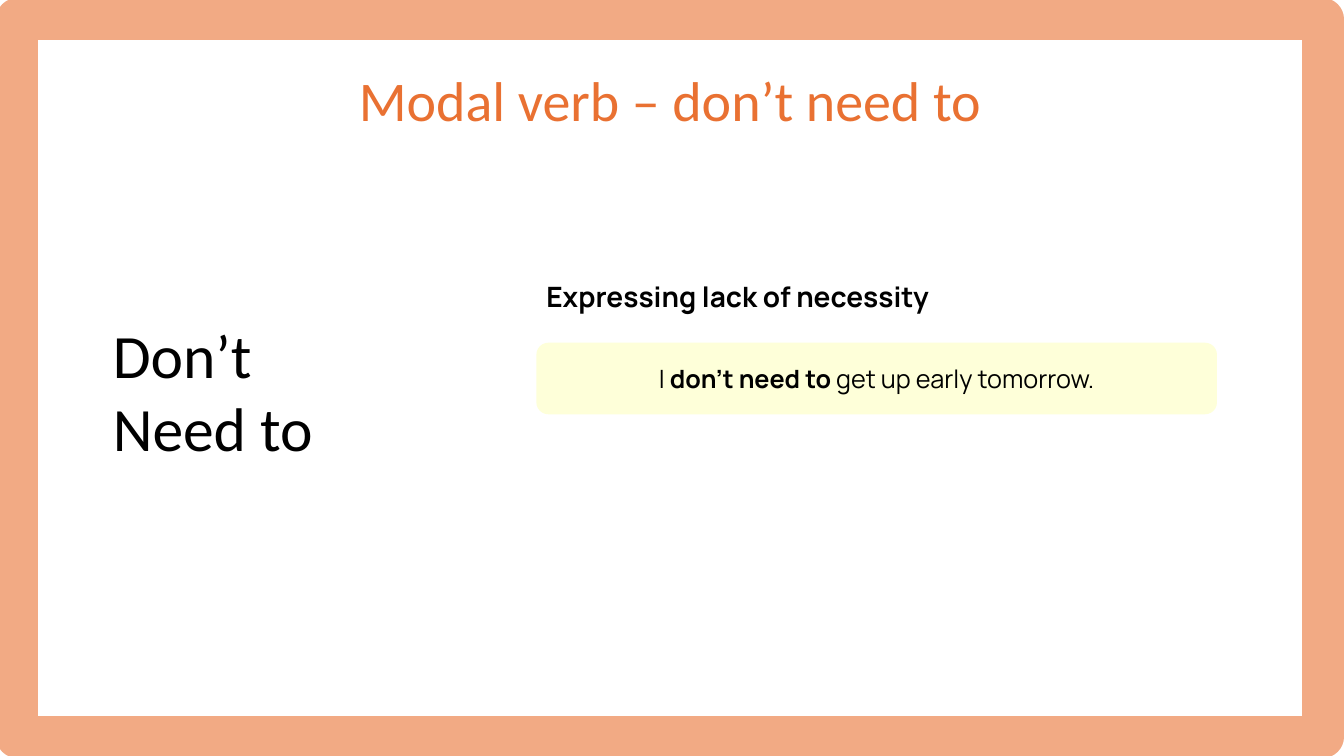
from pptx import Presentation
from pptx.dml.color import RGBColor
from pptx.enum.shapes import MSO_SHAPE
from pptx.enum.text import MSO_ANCHOR, PP_ALIGN
from pptx.util import Inches, Pt

RECTANGLE, ROUNDED = MSO_SHAPE.RECTANGLE, MSO_SHAPE.ROUNDED_RECTANGLE
LEFT, CENTER = PP_ALIGN.LEFT, PP_ALIGN.CENTER
MIDDLE = MSO_ANCHOR.MIDDLE
COLORS = {"frame": "F2AA84", "title": "E97132", "text": "000000", "example": "FEFFD9"}


def color(name):
    """Return the named colour."""
    return RGBColor.from_string(COLORS[name])


def style(para, font, size, ink="text", bold=False, align=LEFT):
    """Set the font and alignment of a paragraph."""
    para.alignment = align
    para.font.name = font
    para.font.size = Pt(size)
    para.font.bold = bold
    para.font.color.rgb = color(ink)


def add_frame(page, area, width):
    """Draw the thick unfilled border of the page."""
    frame = page.shapes.add_shape(RECTANGLE, *map(Inches, area))
    frame.shadow.inherit = False
    frame.fill.background()
    frame.line.color.rgb = color("frame")
    frame.line.width = Pt(width)


def add_text(page, area, lines, font, size, wrap=False, **look):
    """Add a text box with one paragraph per line."""
    box = page.shapes.add_textbox(*map(Inches, area))
    box.text_frame.word_wrap = wrap
    box.text_frame.text = "\n".join(lines)
    for para in box.text_frame.paragraphs:
        style(para, font, size, **look)


def add_example(page, area, spans):
    """Add a rounded panel holding a sentence of (text, bold) spans."""
    panel = page.shapes.add_shape(ROUNDED, *map(Inches, area))
    panel.shadow.inherit = False
    panel.fill.solid()
    panel.fill.fore_color.rgb = color("example")
    panel.line.fill.background()
    panel.text_frame.word_wrap = True
    panel.text_frame.vertical_anchor = MIDDLE
    para = panel.text_frame.paragraphs[0]
    style(para, "Manrope", 18, align=CENTER)
    for text, bold in spans:
        span = para.add_run()
        span.text = text
        span.font.bold = bold


def main():
    """Build the grammar slide and save it."""
    deck = Presentation()
    deck.slide_width, deck.slide_height = Inches(13.33), Inches(7.5)
    page = deck.slides.add_slide(deck.slide_layouts[6])
    add_frame(page, (0.17, 0.19, 12.95, 7.12), 30)
    add_text(page, (1.71, 0.6, 9.87, 0.77), ["Modal verb – don’t need to"],
             "Calibri", 40, wrap=True, ink="title", align=CENTER)
    add_text(page, (1.02, 3.09, 2.58, 1.58), ["Don’t", "Need to"], "Calibri", 44)
    add_example(page, (5.32, 3.4, 6.75, 0.71),
                [("I", False), (" don’t need to", True), (" get up early tomorrow.", False)])
    add_text(page, (5.32, 2.72, 4.25, 0.44), ["Expressing lack of necessity"],
             "Manrope", 20, bold=True)
    deck.save("out.pptx")


if __name__ == "__main__":
    main()
